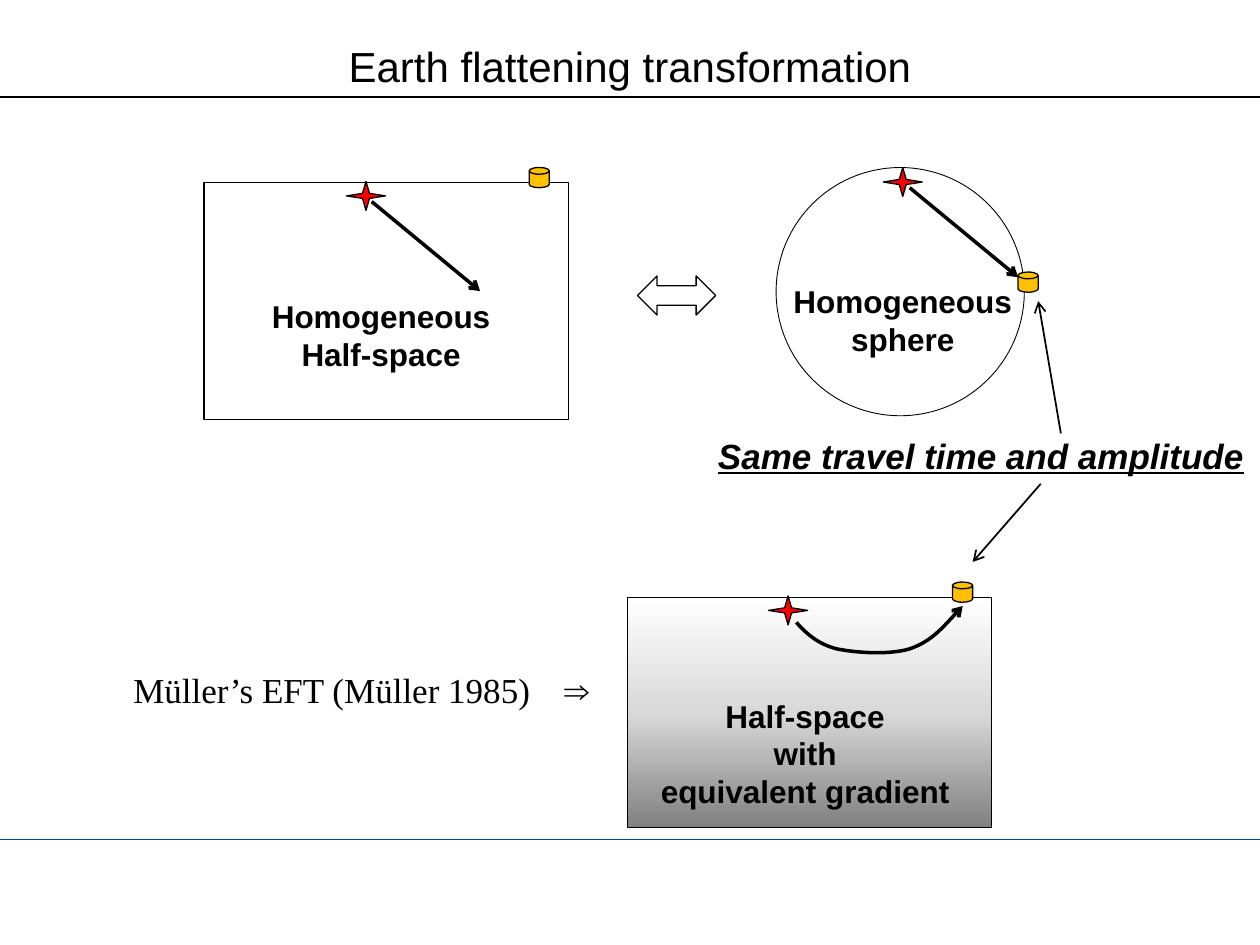
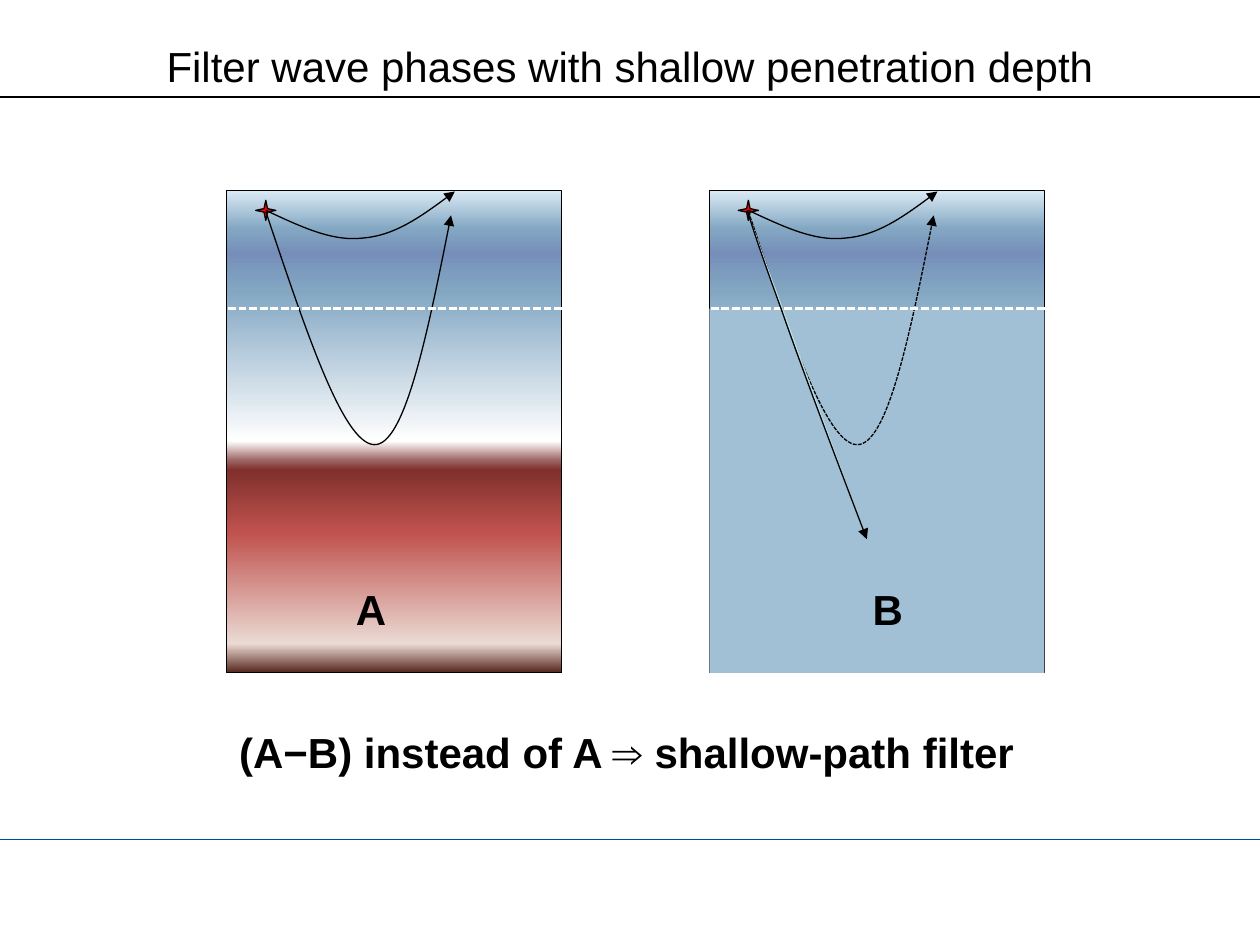
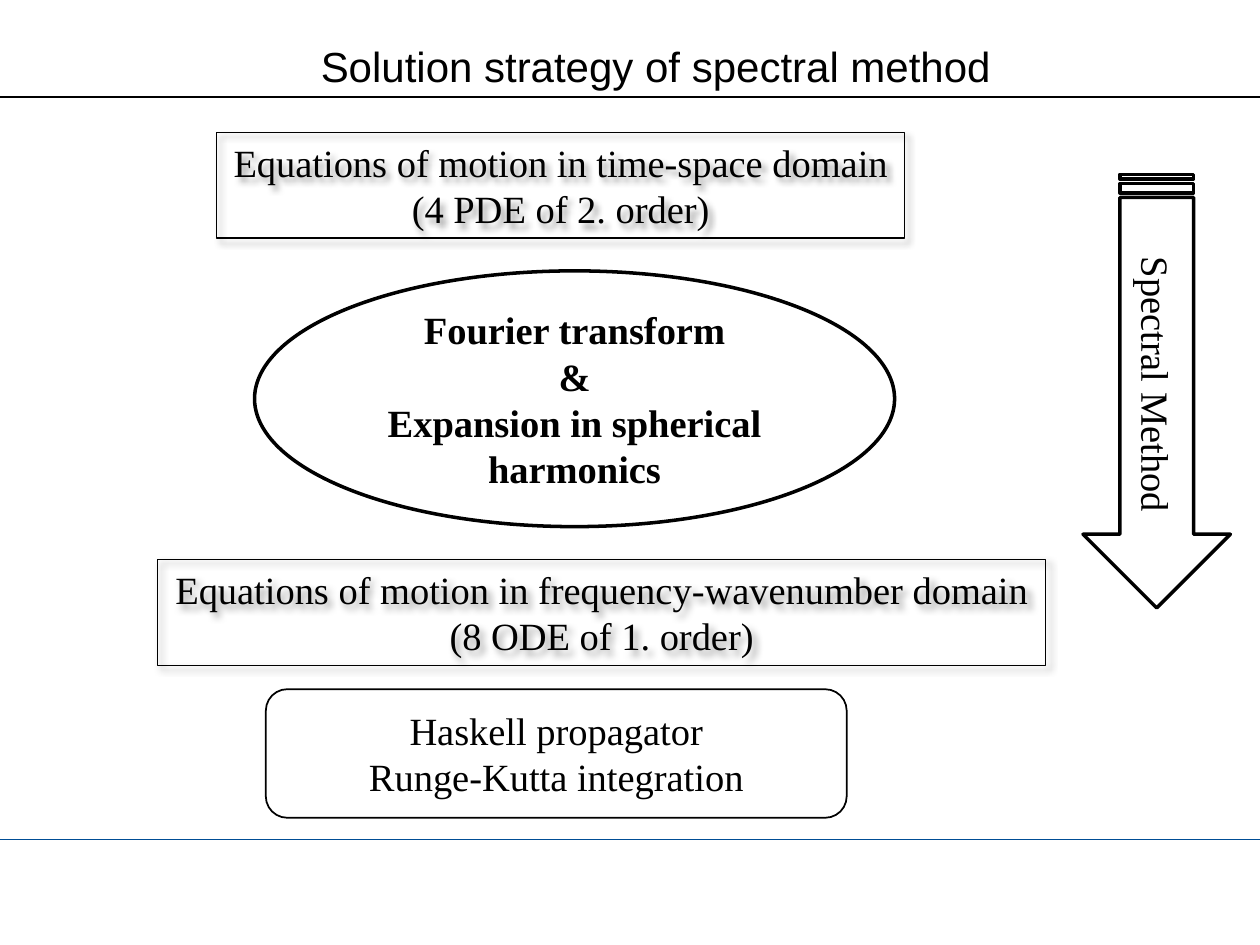
from lxml import etree
from pptx import Presentation, util as u
from pptx.dml.color import RGBColor
from pptx.enum import dml, shapes, text
from pptx.oxml.ns import qn

I = u.Inches
G = shapes.MSO_SHAPE
C = {"ink": "000000", "paper": "FFFFFF", "rule": "004D95", "source": "FF0000",
     "receiver": "FFC000", "uniform": "A1C0D5", "sliver": "BBE0E3"}
SANS, SERIF = "Arial", "Times New Roman"

# Content
TITLES = ["Earth flattening transformation",
          "Filter wave phases with shallow penetration depth",
          "Solution strategy of spectral method"]

# Slide 1: label, place of the label
MODELS = [(["Homogeneous", "Half-space"], (2.05, 2.31, 1.95, 0.71)),
          (["Homogeneous", "sphere"], (6.19, 2.19, 1.95, 0.71)),
          (["Half-space", "with", "equivalent gradient"], (5.13, 5.48, 2.52, 1.01))]
SOURCES = [(2.75, 1.44), (7.01, 1.33), (6.1, 4.73)]
RECEIVERS = [(4.2, 1.33), (8.08, 2.16), (7.56, 4.62)]
RAYS = [(2.95, 1.6, 3.81, 2.31), (7.22, 1.49, 8.08, 2.2)]
POINTERS = [(8.42, 3.44, 8.24, 2.39), (8.26, 3.84, 7.72, 4.46)]
BENT_RAY = [(6.32, 4.94), (6.4, 5.03), (6.49, 5.11), (6.64, 5.15), (6.79, 5.18),
            (7.05, 5.2), (7.22, 5.15), (7.39, 5.09), (7.51, 4.95), (7.64, 4.81)]
GREY_DEPTH = [(0, "FFFFFF"), (50, "D9D9D9"), (100, "808080")]

# Slide 2: curves as cubic control points in panel A
EARTH_DEPTH = [(0, "DCEBF5"), (8, "83A7C3"), (13, "768FB9"), (21, "83A7C3"),
               (52, "FFFFFF"), (56, "9C6563"), (58, "80302D"), (71, "C0524E"),
               (94, "EBDAD4"), (100, "55261C")]
SHALLOW = [(2.11, 1.67), (2.37, 1.79), (2.63, 1.92), (2.88, 1.89),
           (3.13, 1.87), (3.37, 1.7), (3.61, 1.52)]
DEEP = [(2.11, 1.68), (2.42, 2.6), (2.72, 3.52), (2.97, 3.53),
        (3.21, 3.54), (3.4, 2.62), (3.58, 1.71)]
LOST = [(2.1, 1.67), (2.16, 1.86), (2.22, 2.04), (2.38, 2.48),
        (2.53, 2.91), (2.79, 3.6), (3.05, 4.28)]
PANEL_STEP = 3.83

# Slide 3: boxed equations and the steps between them
EQUATIONS = [(["Equations of motion in time-space domain", "(4 PDE of 2. order)"],
              (1.72, 1.05, 5.46, 0.84)),
             (["Equations of motion in frequency-wavenumber domain",
               "(8 ODE of 1. order)"], (1.25, 4.44, 7.05, 0.84))]
STEPS = [(G.OVAL, ["Fourier transform", "&", "Expansion in spherical harmonics"],
          (2.02, 2.15, 5.08, 2.03), 2, True),
         (G.ROUNDED_RECTANGLE, ["Haskell propagator", "Runge-Kutta integration"],
          (2.11, 5.47, 4.61, 1.02), 1, False)]


def rgb(name):
    return RGBColor.from_string(C.get(name, name))


def sub(parent, tag, **attrs):
    return etree.SubElement(parent, qn(tag), {k: str(v) for k, v in attrs.items()})


def write(tf, lines, size=18, font=SANS, bold=False, italic=False, underline=False,
          align="CENTER", wrap=True, left=0, tab=None):
    tf.word_wrap = wrap
    for i, line in enumerate(lines):
        p = tf.add_paragraph() if i else tf.paragraphs[0]
        p.alignment = text.PP_ALIGN[align]
        pPr = p._p.get_or_add_pPr()
        if left:
            pPr.set("marL", str(I(left)))
        if tab:
            sub(sub(pPr, "a:tabLst"), "a:tab", pos=I(tab), algn="l")
        r = p.add_run()
        r.text = line
        f = r.font
        f.name, f.size, f.bold, f.italic = font, u.Pt(size), bold, italic
        f.underline = underline
        f.color.rgb = rgb("ink")


def textbox(s, at, lines, **fmt):
    tf = s.shapes.add_textbox(*map(I, at)).text_frame
    write(tf, lines, **fmt)


def stroke(ln, width, color="ink", dash=False, head=None):
    ln.color.rgb = rgb(color)
    ln.width = u.Pt(width)
    if dash:
        ln.dash_style = dml.MSO_LINE.SQUARE_DOT
    if head:
        sub(ln._get_or_add_ln(), "a:tailEnd", type=head)


def paint(sp, fill):
    """Fill with nothing, one colour, or a list of stops from top to bottom."""
    if fill is None:
        sp.fill.background()
    elif isinstance(fill, str):
        sp.fill.solid()
        sp.fill.fore_color.rgb = rgb(fill)
    else:
        sp.fill.gradient()
        sp.fill.gradient_angle = 270
        stops = sp._element.spPr.find(qn("a:gradFill")).find(qn("a:gsLst"))
        for old in list(stops):
            stops.remove(old)
        for pos, color in fill:
            sub(sub(stops, "a:gs", pos=pos * 1000), "a:srgbClr", val=color)


def shape(s, kind, at, fill=None, width=0.75, adj=()):
    sp = s.shapes.add_shape(kind, *map(I, at))
    sp.shadow.inherit = False
    for i, value in enumerate(adj):
        sp.adjustments[i] = value
    paint(sp, fill)
    if width:
        stroke(sp.line, width)
    else:
        sp.line.fill.background()
    return sp


def line(s, ends, width, **look):
    c = s.shapes.add_connector(shapes.MSO_CONNECTOR.STRAIGHT, *map(I, ends))
    stroke(c.line, width, **look)
    sub(c._element.spPr, "a:effectLst")
    return c


def curve(s, points, dx=0, width=0.75, fill=None, **look):
    """Draw joined cubic segments; each three points after the first make one."""
    track = [(I(x + dx), I(y)) for x, y in points]
    builder = s.shapes.build_freeform(*track[0])
    builder.add_line_segments(track[1:], close=False)
    sp = builder.convert_to_shape()
    legs = list(sp._element.iter(qn("a:lnTo")))
    for k in range(0, len(legs), 3):
        bend = etree.Element(qn("a:cubicBezTo"))
        legs[k].addprevious(bend)
        for leg in legs[k:k + 3]:
            bend.append(leg[0])
            leg.getparent().remove(leg)
    sp.shadow.inherit = False
    paint(sp, fill)
    stroke(sp.line, width, **look)


def source(s, x, y, w=0.31, h=0.23):
    shape(s, G.STAR_4_POINT, (x, y, w, h), "source", adj=[0.125])


def new_slide(prs, title, left=0):
    s = prs.slides.add_slide(prs.slide_layouts[6])
    textbox(s, (0, 0.27, 10, 0.5), [title], size=24, left=left)
    line(s, (0, 0.77, 10, 0.77), 0.75)
    return s


def add_footer_rule(prs, s):
    """Draw the rule once and hand it to the master, which all slides share."""
    rule = line(s, (0, 6.66, 10, 6.66), 0.5, color="rule")
    prs.slide_master.shapes._spTree.append(rule._element)


def flattening(prs):
    s = new_slide(prs, TITLES[0])
    add_footer_rule(prs, s)
    # Three models
    shape(s, G.RECTANGLE, (1.62, 1.45, 2.89, 1.88))
    shape(s, G.OVAL, (6.16, 1.33, 1.97, 1.97), width=0.5)
    shape(s, G.RECTANGLE, (4.98, 4.74, 2.89, 1.83), GREY_DEPTH)
    shape(s, G.LEFT_RIGHT_ARROW, (5.06, 2.19, 0.62, 0.31), "paper", adj=[0.5, 0.5])
    for lines, at in MODELS:
        textbox(s, at, lines, bold=True, wrap=False)
    # Sources, rays and receivers
    for x, y in SOURCES:
        source(s, x, y)
    for ends in RAYS:
        line(s, ends, 2, head="arrow")
    for x, y in RECEIVERS:
        shape(s, G.FLOWCHART_MAGNETIC_DISK, (x, y, 0.16, 0.16), "receiver")
    curve(s, BENT_RAY, width=2, head="arrow")
    # Remarks
    for ends in POINTERS:
        line(s, ends, 1, head="arrow")
    textbox(s, (5.6, 3.4, 4.4, 0.44), ["Same travel time and amplitude"], size=20,
            bold=True, italic=True, underline=True, align="LEFT", wrap=False)
    textbox(s, (0.96, 5.26, 3.93, 0.44), ["Müller’s EFT (Müller 1985)\t⇒"], size=20,
            font=SERIF, align="LEFT", tab=3.42)


def shallow_filter(prs):
    s = new_slide(prs, TITLES[1])
    for name, dx, label_x in (("A", 0, 2.72), ("B", PANEL_STEP, 6.82)):
        cut = name == "B"
        shape(s, G.RECTANGLE, (1.8 + dx, 1.51, 2.66, 3.83), EARTH_DEPTH)
        source(s, 2.03 + dx, 1.59, 0.16, 0.16)
        curve(s, SHALLOW, dx, head="triangle")
        if cut:
            shape(s, G.RECTANGLE, (1.8 + dx, 2.45, 2.66, 2.89), "uniform", width=0)
        curve(s, DEEP, dx, dash=cut, head="triangle")
        line(s, (1.56 + dx, 2.45, 4.61 + dx, 2.45), 1.5, color="paper", dash=True)
        if cut:
            curve(s, LOST, dx, fill="sliver", head="triangle")
        textbox(s, (label_x, 4.58, 0.45, 0.5), [name], size=24, bold=True, wrap=False)
    textbox(s, (1.8, 5.72, 6.6, 0.5), ["(A−B) instead of A ⇒ shallow-path filter"],
            size=24, bold=True, align="LEFT", wrap=False)


def spectral_method(prs):
    s = new_slide(prs, TITLES[2], left=0.41)
    for lines, at in EQUATIONS:
        sp = shape(s, G.RECTANGLE, at)
        write(sp.text_frame, lines, size=22, font=SERIF, wrap=False)
        shadow = sub(sp._element.spPr.find(qn("a:effectLst")), "a:outerShdw",
                     blurRad=u.Pt(4), dist=u.Pt(3), dir=45 * 60000, algn="tl", rotWithShape=0)
        sub(sub(shadow, "a:srgbClr", val=C["ink"]), "a:alpha", val=40000)
    for kind, lines, at, width, bold in STEPS:
        sp = shape(s, kind, at, width=width)
        write(sp.text_frame, lines, size=22, font=SERIF, bold=bold)
    # Downward arrow
    sp = shape(s, G.STRIPED_RIGHT_ARROW, (7.46, 2.52, 3.44, 1.17), width=2)
    sp.rotation = 90
    write(sp.text_frame, ["Spectral Method"], size=22, font=SERIF)


def main():
    prs = Presentation()
    prs.slide_width, prs.slide_height = I(10), I(7.5)
    flattening(prs)
    shallow_filter(prs)
    spectral_method(prs)
    prs.save("out.pptx")


if __name__ == "__main__":
    main()
